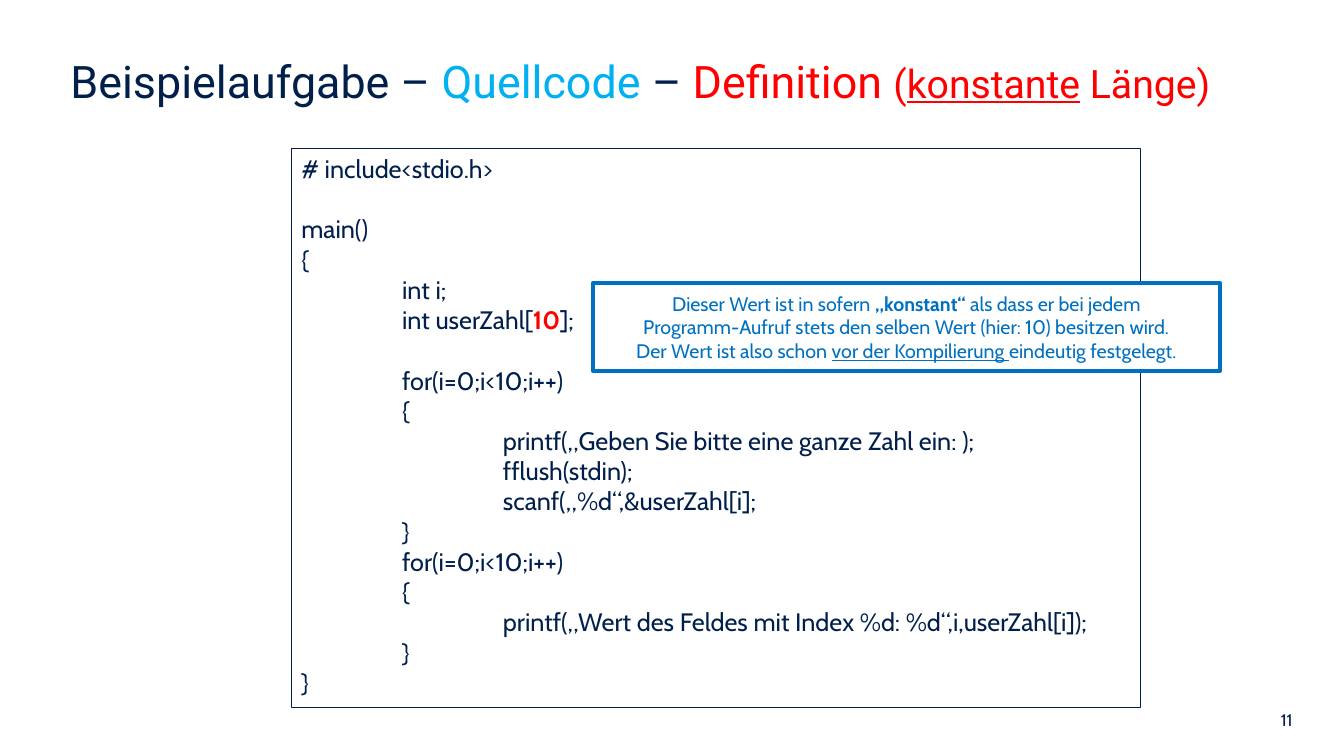
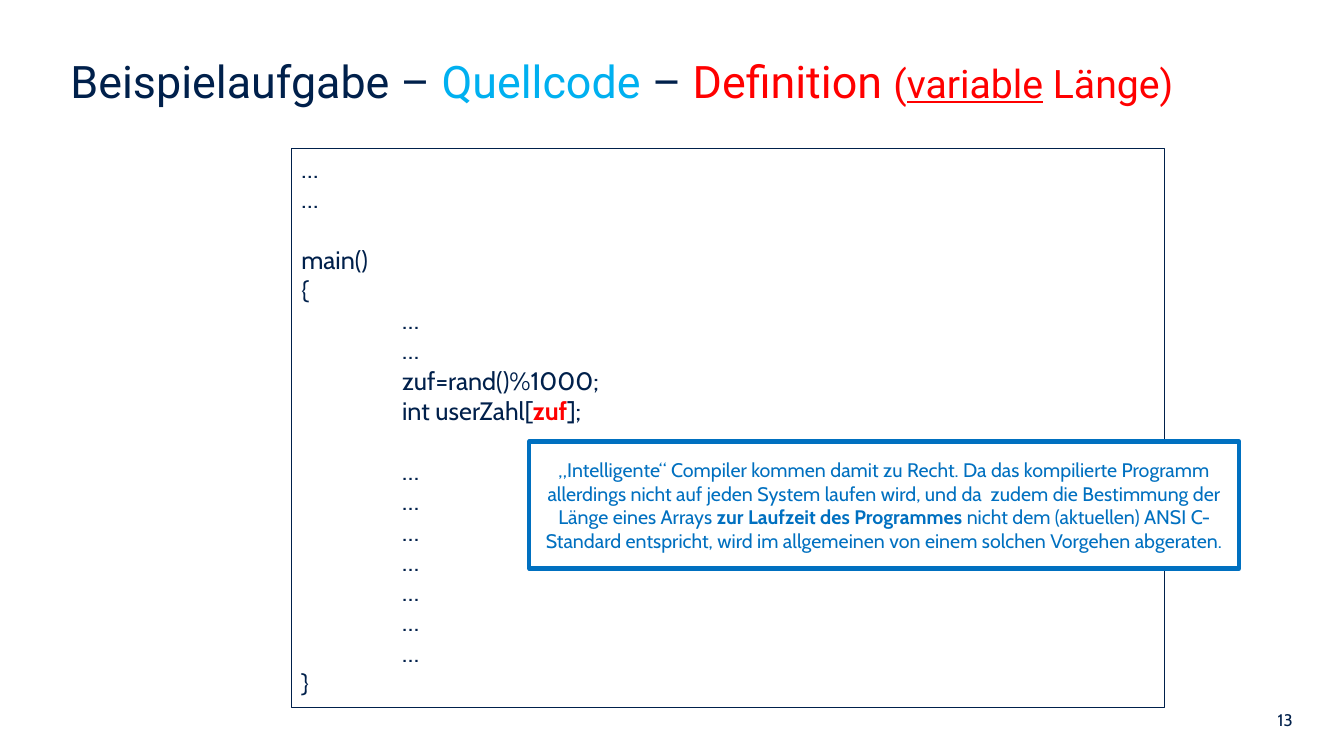
from dataclasses import dataclass
from typing import Optional

from pptx import Presentation
from pptx.dml.color import RGBColor
from pptx.enum.shapes import MSO_SHAPE as Preset
from pptx.enum.text import MSO_ANCHOR as Anchor, PP_ALIGN as Align
from pptx.util import Inches, Pt

NAVY, SKY, RED, BLUE, WHITE = "00204B", "00B0F0", "FF0000", "0070C0", "FFFFFF"
BODY, HEAD = "Cabin", "Roboto"
LINE_GAP = 21.6  # one line of 18 pt code


@dataclass
class Span:
    text: str
    color: Optional[str] = None
    size: Optional[float] = None
    bold: Optional[bool] = None
    under: Optional[bool] = None


@dataclass
class Code:
    """One line of code: its indent depth, its spans, a blank line above."""
    depth: int
    spans: list
    gap: bool = False


def rgb(value):
    return RGBColor.from_string(value)


def write(para, spans, size, color, face=BODY, align=Align.LEFT):
    """Fill a paragraph; spans hold only what differs from its font."""
    para.alignment = align
    font = para.font
    font.size, font.name = Pt(size), face
    font.color.rgb = rgb(color)
    for span in spans:
        run = para.add_run()
        run.text = span.text
        if span.color:
            run.font.color.rgb = rgb(span.color)
        if span.size:
            run.font.size = Pt(span.size)
        if span.bold:
            run.font.bold = True
        if span.under:
            run.font.underline = True


def paras(frame, count):
    """Return the frame's first paragraph and as many new ones as needed."""
    return [frame.paragraphs[0]] + [frame.add_paragraph() for _ in range(count - 1)]


def add_text(slide, left, top, width, height):
    frame = slide.shapes.add_textbox(
        Inches(left), Inches(top), Inches(width), Inches(height)).text_frame
    frame.word_wrap = True
    return frame


def add_box(slide, at, line, weight, fill=None, anchor=Anchor.TOP):
    box = slide.shapes.add_shape(Preset.RECTANGLE, *map(Inches, at))
    box.shadow.inherit = False
    if fill:
        box.fill.solid()
        box.fill.fore_color.rgb = rgb(fill)
    else:
        box.fill.background()
    box.line.color.rgb = rgb(line)
    box.line.width = Pt(weight)
    frame = box.text_frame
    frame.word_wrap = True
    frame.vertical_anchor = anchor
    return frame


def add_title(slide, kind):
    spans = [
        Span("Beispielaufgabe – "),
        Span("Quellcode ", SKY),
        Span("– "),
        Span("Definition ", RED),
        Span("(", RED, 28),
        Span(kind, RED, 28, under=True),
        Span(" Länge)", RED, 28),
    ]
    frame = add_text(slide, 0.6, 0.48, 12.18, 0.79)
    write(frame.paragraphs[0], spans, 32, NAVY, HEAD)


def add_number(slide, number):
    frame = add_text(slide, 8.45, 6.99, 4.47, 0.4)
    write(frame.paragraphs[0], [Span(str(number))], 12, NAVY, align=Align.RIGHT)


def add_code(slide, width, lines):
    frame = add_box(slide, (2.89, 1.47, width, 5.55), NAVY, 0.75)
    for para, line in zip(paras(frame, len(lines)), lines):
        props = para._p.get_or_add_pPr()
        props.set("marL", str(Inches(line.depth)))
        props.set("indent", "0")
        if line.gap:
            para.space_before = Pt(LINE_GAP)
        write(para, line.spans, 18, NAVY)


def add_note(slide, at, rows):
    frame = add_box(slide, at, BLUE, 3, WHITE, Anchor.MIDDLE)
    for para, spans in zip(paras(frame, len(rows)), rows):
        write(para, spans, 14, BLUE, align=Align.CENTER)


def code(depth, text, gap=False):
    return Code(depth, [Span(text)], gap)


def field(length):
    """The array definition with its length picked out."""
    return Code(1, [Span("int userZahl["), Span(length, RED, bold=True), Span("];")])


def add_slide(deck, number, kind, width, lines, at, rows):
    slide = deck.slides.add_slide(deck.slide_layouts[6])
    add_number(slide, number)
    add_title(slide, kind)
    add_code(slide, width, lines)
    add_note(slide, at, rows)


def main():
    deck = Presentation()
    deck.slide_width, deck.slide_height = Inches(13.33), Inches(7.5)

    fixed = [
        code(0, "# include<stdio.h>"),
        code(0, "main()", gap=True),
        code(0, "{"),
        code(1, "int i;"),
        field("10"),
        code(1, "for(i=0;i<10;i++)", gap=True),
        code(1, "{"),
        code(2, "printf(„Geben Sie bitte eine ganze Zahl ein: );"),
        code(2, "fflush(stdin);"),
        code(2, "scanf(„%d“,&userZahl[i];"),
        code(1, "}"),
        code(1, "for(i=0;i<10;i++)"),
        code(1, "{"),
        code(2, "printf(„Wert des Feldes mit Index %d: %d“,i,userZahl[i]);"),
        code(1, "}"),
        code(0, "}"),
    ]
    add_slide(deck, 11, "konstante", 8.42, fixed, (5.88, 2.81, 6.22, 0.87), [
        [Span("Dieser Wert ist in sofern "), Span("„konstant“ ", bold=True),
         Span("als dass er bei jedem")],
        [Span("Programm-Aufruf stets den selben Wert (hier: 10) besitzen wird.")],
        [Span("Der Wert ist also schon "), Span("vor der Kompilierung ", under=True),
         Span("eindeutig festgelegt.")],
    ])

    varied = [
        code(0, "…"),
        code(0, "…"),
        code(0, "main()", gap=True),
        code(0, "{"),
        code(1, "…"),
        code(1, "…"),
        code(1, "zuf=rand()%1000;"),
        field("zuf"),
        code(1, "…", gap=True),
        *[code(1, "…") for _ in range(6)],
        code(0, "}"),
    ]
    add_slide(deck, 13, "variable", 8.66, varied, (5.25, 4.38, 7.04, 1.26), [
        [Span("„Intelligente“ Compiler kommen damit zu Recht. Da das kompilierte "
              "Programm allerdings nicht auf jeden System laufen wird, und da  zudem "
              "die Bestimmung der Länge eines Arrays "),
         Span("zur Laufzeit des Programmes ", bold=True),
         Span("nicht dem (aktuellen) ANSI C-Standard entspricht, wird im allgemeinen "
              "von einem solchen Vorgehen abgeraten.")],
    ])
    deck.save("out.pptx")


if __name__ == "__main__":
    main()
